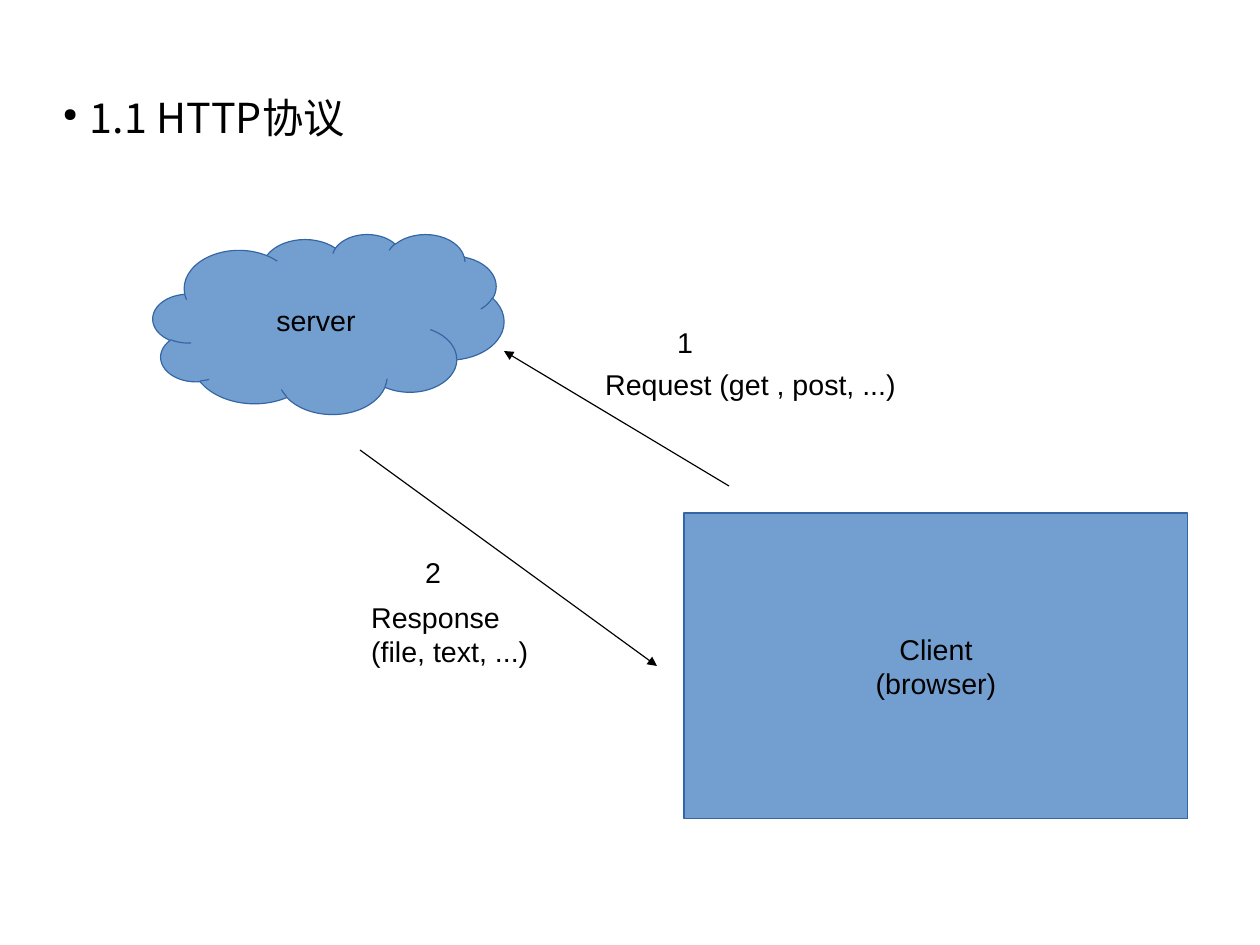
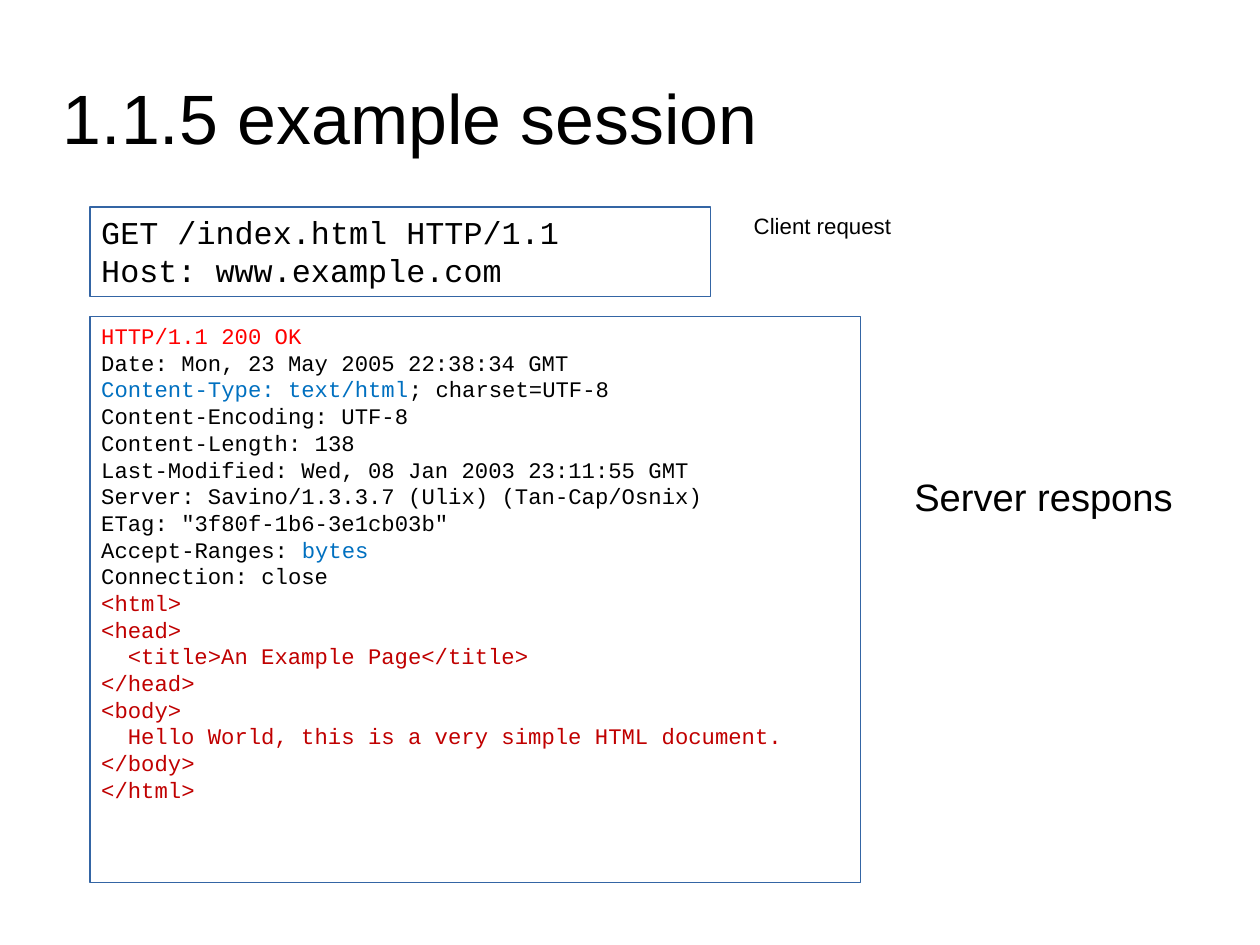
from dataclasses import dataclass

from lxml import etree
from pptx import Presentation
from pptx.dml.color import RGBColor
from pptx.enum.shapes import MSO_CONNECTOR, MSO_SHAPE
from pptx.enum.text import MSO_ANCHOR, PP_ALIGN
from pptx.oxml.ns import qn
from pptx.util import Cm, Pt

RECT, CLOUD = MSO_SHAPE.RECTANGLE, MSO_SHAPE.CLOUD
STRAIGHT = MSO_CONNECTOR.STRAIGHT
TOP, MIDDLE = MSO_ANCHOR.TOP, MSO_ANCHOR.MIDDLE
LEFT, CENTER = PP_ALIGN.LEFT, PP_ALIGN.CENTER


@dataclass(frozen=True)
class Theme:
    """Colours, fonts, type sizes and title place of the deck."""
    ink: str = "000000"
    fill: str = "729FCF"
    edge: str = "3465A4"
    status: str = "FF0000"
    accent: str = "0070C0"
    markup: str = "C00000"
    sans: str = "Arial"
    mono: str = "Courier New"
    cjk: str = "Noto Sans CJK KR"
    title: int = 44
    topic: int = 26
    heading: int = 24
    request: int = 20
    body: int = 18
    code: int = 14
    line: float = 0.75
    code_indent: float = 0.59
    title_at: tuple = (1.4, 0.84, 25.2, 3.5)


T = Theme()
PLAIN = {"word_wrap": True, "vertical_anchor": TOP}
CENTRED = {"word_wrap": False, "vertical_anchor": MIDDLE}
TITLE = {"word_wrap": True, "vertical_anchor": MIDDLE, "margin_left": 0,
         "margin_right": 0, "margin_top": 0, "margin_bottom": 0}

REQUEST = ["GET /index.html HTTP/1.1", "Host: www.example.com"]
RESPONSE = [
    [("HTTP/1.1 200 OK", T.status)],
    "Date: Mon, 23 May 2005 22:38:34 GMT",
    [("Content-Type: text/html", T.accent), ("; charset=UTF-8", T.ink)],
    "Content-Encoding: UTF-8",
    "Content-Length: 138",
    "Last-Modified: Wed, 08 Jan 2003 23:11:55 GMT",
    "Server: Savino/1.3.3.7 (Ulix) (Tan-Cap/Osnix)",
    'ETag: "3f80f-1b6-3e1cb03b"',
    [("Accept-Ranges: ", T.ink), ("bytes", T.accent)],
    "Connection: close",
]
PAGE = [
    (0, "<html>"),
    (0, "<head>"),
    (1, "<title>An Example Page</title>"),
    (0, "</head>"),
    (0, "<body>"),
    (1, "Hello World, this is a very simple HTML document."),
    (0, "</body>"),
    (0, "</html>"),
]


def set_all(obj, values):
    """Set each named attribute of an object."""
    for name, value in values.items():
        setattr(obj, name, value)


def write(tf, lines, size, font=T.sans, frame=PLAIN, align=LEFT):
    """Fill a text frame with lines, each a string or coloured runs."""
    set_all(tf, frame)
    for i, line in enumerate(lines):
        p = tf.add_paragraph() if i else tf.paragraphs[0]
        p.alignment = align
        for text, colour in [(line, T.ink)] if isinstance(line, str) else line:
            r = p.add_run()
            r.text = text
            set_all(r.font, {"name": font, "size": Pt(size)})
            r.font.color.rgb = RGBColor.from_string(colour)
            etree.SubElement(r.font._element, qn("a:ea"), typeface=font)
    return tf.paragraphs


def add_text(s, at, lines, size=T.body, **style):
    """Add a text box."""
    sp = s.shapes.add_textbox(*map(Cm, at))
    return write(sp.text_frame, lines, size, **style)


def add_title(s, text, size, font=T.sans):
    """Add the slide title."""
    return add_text(s, T.title_at, [text], size, font=font, frame=TITLE)[0]


def add_box(s, kind, at, lines, size=T.body, fill=None, **style):
    """Add an outlined shape with text."""
    sp = s.shapes.add_shape(kind, *map(Cm, at))
    sp.shadow.inherit = False
    if fill:
        sp.fill.solid()
        sp.fill.fore_color.rgb = RGBColor.from_string(fill)
    else:
        sp.fill.background()
    sp.line.color.rgb = RGBColor.from_string(T.edge)
    sp.line.width = Pt(T.line)
    return write(sp.text_frame, lines, size, **style)


def add_node(s, kind, at, lines):
    """Add a filled diagram node with centred text."""
    add_box(s, kind, at, lines, fill=T.fill, frame=CENTRED, align=CENTER)


def add_arrow(s, start, end):
    """Add a straight arrow."""
    sp = s.shapes.add_connector(STRAIGHT, *map(Cm, start + end))
    sp.line.color.rgb = RGBColor.from_string(T.ink)
    sp.line.width = Pt(T.line)
    etree.SubElement(sp.line._get_or_add_ln(), qn("a:tailEnd"), type="triangle")
    etree.SubElement(sp._element.spPr, qn("a:effectLst"))


def indent(p, left, first=0):
    """Indent a paragraph by lengths in centimetres."""
    pPr = p._p.get_or_add_pPr()
    pPr.set("marL", str(Cm(left)))
    pPr.set("indent", str(Cm(first)))
    return pPr


def add_bullet(p):
    """Give a paragraph a small round bullet."""
    pPr = indent(p, 0.6, -0.6)
    colour = etree.SubElement(pPr, qn("a:buClr"))
    etree.SubElement(colour, qn("a:srgbClr"), val=T.ink)
    etree.SubElement(pPr, qn("a:buSzPct"), val="45000")
    etree.SubElement(pPr, qn("a:buChar"), char="●")


def build_protocol(s):
    """Build the request and response diagram."""
    add_bullet(add_title(s, "1.1 HTTP协议", T.topic, T.cjk))
    add_node(s, CLOUD, (3.4, 5.2, 7.8, 4), ["server"])
    add_node(s, RECT, (15.2, 11.4, 11.2, 6.8), ["Client", "(browser)"])
    add_arrow(s, (16.2, 10.8), (11.2, 7.8))
    add_arrow(s, (8, 10), (14.6, 14.8))
    for at, lines in (
        ((14.8, 7.09, 1.4, 0.97), ["1"]),
        ((13.2, 8.03, 9.4, 0.97), ["Request (get , post, ...)"]),
        ((9.2, 12.2, 1.2, 0.97), ["2"]),
        ((8, 13.2, 4.2, 1.68), ["Response", "(file, text, ...)"]),
    ):
        add_text(s, at, lines)


def build_session(s):
    """Build the example session with its two messages."""
    add_title(s, "1.1.5 example session", T.title)
    add_box(s, RECT, (2, 4.6, 13.8, 2), REQUEST, T.request, font=T.mono)
    page = [[(text, T.markup)] for _, text in PAGE]
    lines = add_box(s, RECT, (2, 7.04, 17.12, 12.58), RESPONSE + page,
                    T.code, font=T.mono)
    for p, (level, _) in zip(lines[len(RESPONSE):], PAGE):
        indent(p, level * T.code_indent)
    add_text(s, (16.5, 4.6, 5.3, 2.3), ["Client request"], T.code)
    add_text(s, (20.07, 10.4, 6.93, 2.13), ["Server respons"], T.heading)


def main():
    """Build and save the deck."""
    prs = Presentation()
    set_all(prs, {"slide_width": Cm(28), "slide_height": Cm(21)})
    for build in (build_protocol, build_session):
        build(prs.slides.add_slide(prs.slide_layouts[6]))
    prs.save("out.pptx")


if __name__ == "__main__":
    main()
